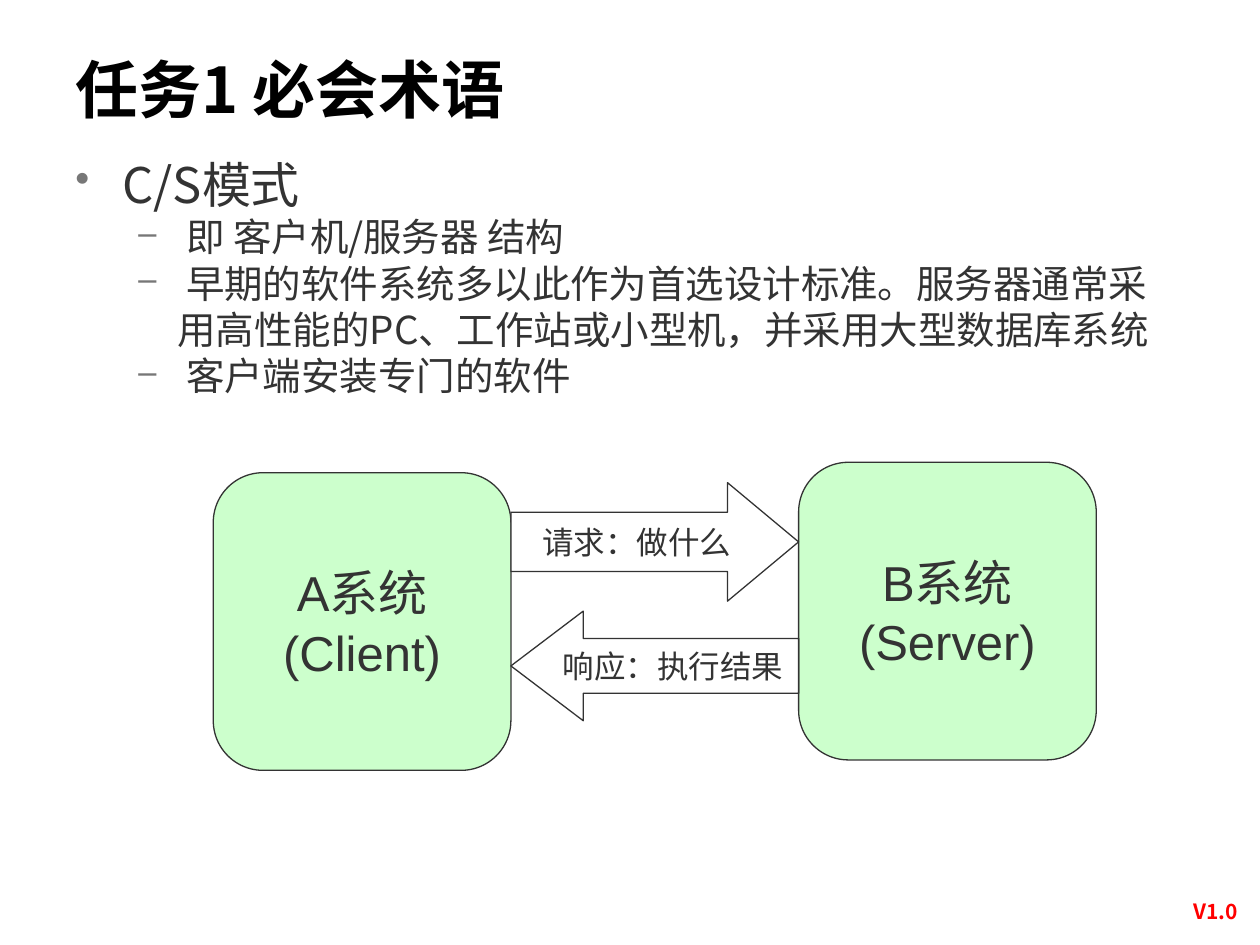
from lxml import etree
from pptx import Presentation
from pptx.dml.color import RGBColor
from pptx.enum import shapes, text
from pptx.oxml.ns import qn
from pptx.util import Cm, Pt

COLORS = {"ink": "333333", "title": "000000", "version": "FF0000",
          "bullet": "777777", "system": "CCFFCC", "arrow": "FFFFFF"}
CJK = "Noto Sans CJK SC"

TITLE = "任务1 必会术语"
VERSION = "V1.0"
HEADING = "C/S模式"
POINTS = [
    " 即 客户机/服务器 结构",
    " 早期的软件系统多以此作为首选设计标准。服务器通常采用高性能的PC、工作站或小型机，并采用大型数据库系统",
    " 客户端安装专门的软件",
]
# text lines, left, top
SYSTEMS = [
    (["A系统", "(Client)"], 4.3, 9.53),
    (["B系统", "(Server)"], 16.1, 9.32),
]
SYSTEM_SIDE = 6.0
# text, preset, top, height, head length
MESSAGES = [
    ("请求：做什么", shapes.MSO_SHAPE.RIGHT_ARROW, 9.73, 2.39, 0.6),
    ("响应：执行结果", shapes.MSO_SHAPE.LEFT_ARROW, 12.32, 2.21, 0.66),
]


def rgb(name):
    return RGBColor.from_string(COLORS[name])


def add_bullet(paragraph, char, margin, hanging):
    props = paragraph._p.get_or_add_pPr()
    props.set("marL", str(Cm(margin)))
    props.set("indent", str(-Cm(hanging)))
    color = etree.SubElement(props, qn("a:buClr"))
    etree.SubElement(color, qn("a:srgbClr"), val=COLORS["bullet"])
    etree.SubElement(props, qn("a:buSzPct"), val="85000")
    etree.SubElement(props, qn("a:buChar"), char=char)


def write(frame, words, size, font=CJK, color="ink", bold=False,
          align=text.PP_ALIGN.LEFT, line=None, bullet=None):
    """Add one paragraph, using the frame's empty first one if it is free."""
    paragraph = frame.paragraphs[0]
    if paragraph.runs:
        paragraph = frame.add_paragraph()
    paragraph.alignment = align
    if line:
        paragraph.line_spacing = Pt(line)
    if bullet:
        add_bullet(paragraph, *bullet)
    run = paragraph.add_run()
    run.text = words
    run.font.name = font
    run.font.size = Pt(size)
    run.font.bold = bold
    run.font.color.rgb = rgb(color)
    etree.SubElement(run._r.get_or_add_rPr(), qn("a:ea"), typeface=CJK)


def add_frame(slide, left, top, width, height, anchor=text.MSO_ANCHOR.TOP):
    box = slide.shapes.add_textbox(Cm(left), Cm(top), Cm(width), Cm(height))
    frame = box.text_frame
    frame.word_wrap = True
    frame.vertical_anchor = anchor
    return frame


def add_block(slide, preset, left, top, width, height, fill, adjustments):
    """Add an outlined shape and return its text frame."""
    block = slide.shapes.add_shape(
        preset, Cm(left), Cm(top), Cm(width), Cm(height))
    for index, value in enumerate(adjustments):
        block.adjustments[index] = value
    block.shadow.inherit = False
    block.fill.solid()
    block.fill.fore_color.rgb = rgb(fill)
    block.line.color.rgb = rgb("ink")
    block.line.width = Pt(0.75)
    frame = block.text_frame
    frame.word_wrap = False
    frame.vertical_anchor = text.MSO_ANCHOR.MIDDLE
    return frame


def main():
    deck = Presentation()
    deck.slide_width, deck.slide_height = Cm(25.4), Cm(19.05)
    slide = deck.slides.add_slide(deck.slide_layouts[6])
    center = text.PP_ALIGN.CENTER

    version = add_frame(slide, 23.5, 17.96, 2.0, 0.76)
    write(version, VERSION, 12, color="version", bold=True, align=center, line=15)

    title = add_frame(slide, 1.27, 0.76, 20.24, 1.96, text.MSO_ANCHOR.MIDDLE)
    write(title, TITLE, 36, color="title", bold=True, line=45)

    body = add_frame(slide, 1.27, 2.92, 22.63, 13.79)
    write(body, HEADING, 28, line=35.5, bullet=("•", 0.95, 0.95))
    for point in POINTS:
        write(body, point, 22, line=26.5, bullet=("–", 2.06, 0.79))

    for lines, left, top in SYSTEMS:
        system = add_block(slide, shapes.MSO_SHAPE.ROUNDED_RECTANGLE, left, top,
                           SYSTEM_SIDE, SYSTEM_SIDE, "system", [0.167])
        for words in lines:
            write(system, words, 28, font="Arial", align=center, line=34)

    gap_left = SYSTEMS[0][1] + SYSTEM_SIDE
    gap_width = SYSTEMS[1][1] - gap_left
    for words, preset, top, height, head in MESSAGES:
        message = add_block(slide, preset, gap_left, top, gap_width, height,
                            "arrow", [0.5, head])
        write(message, words, 18, font="Arial", align=center)

    deck.save("out.pptx")


if __name__ == "__main__":
    main()
